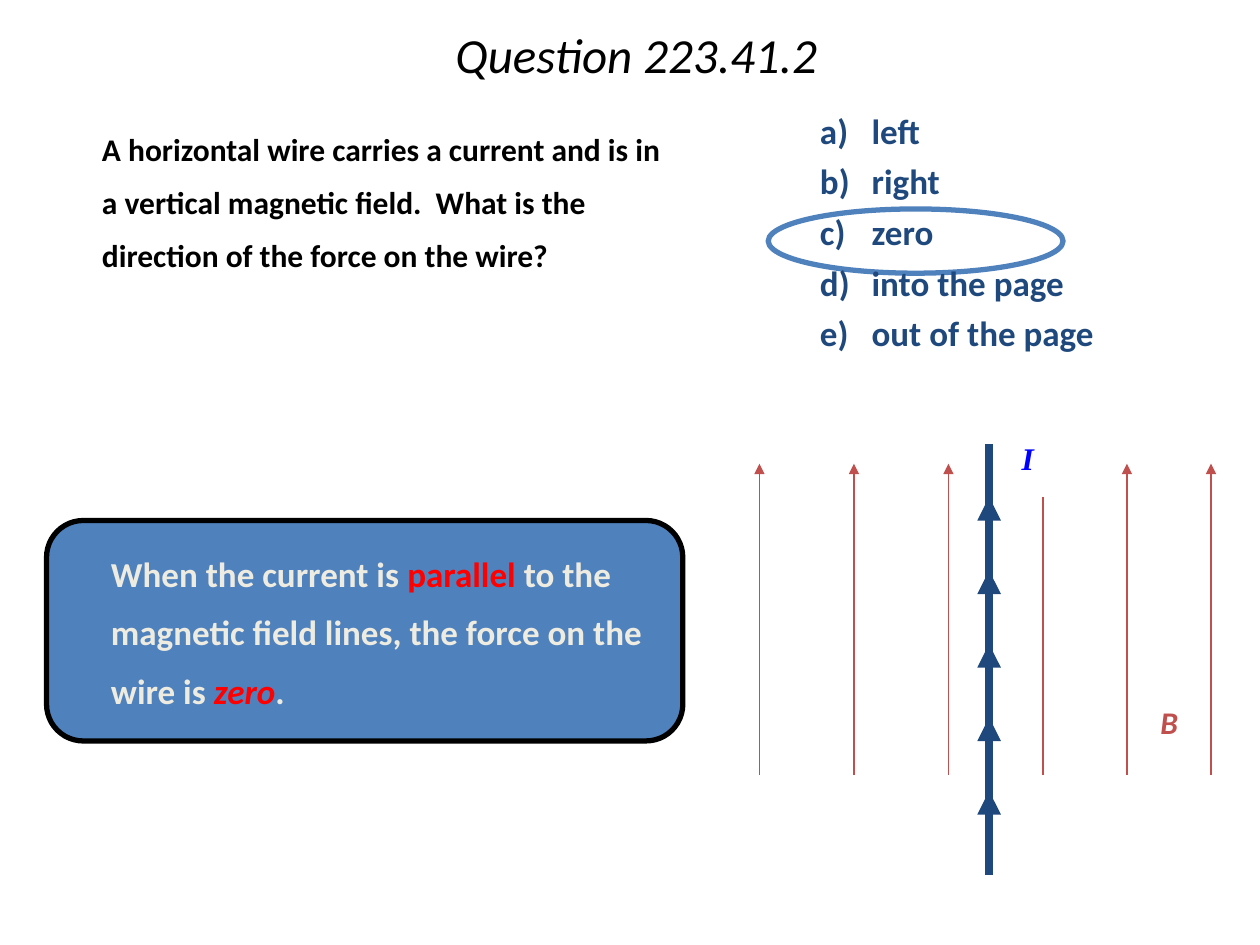
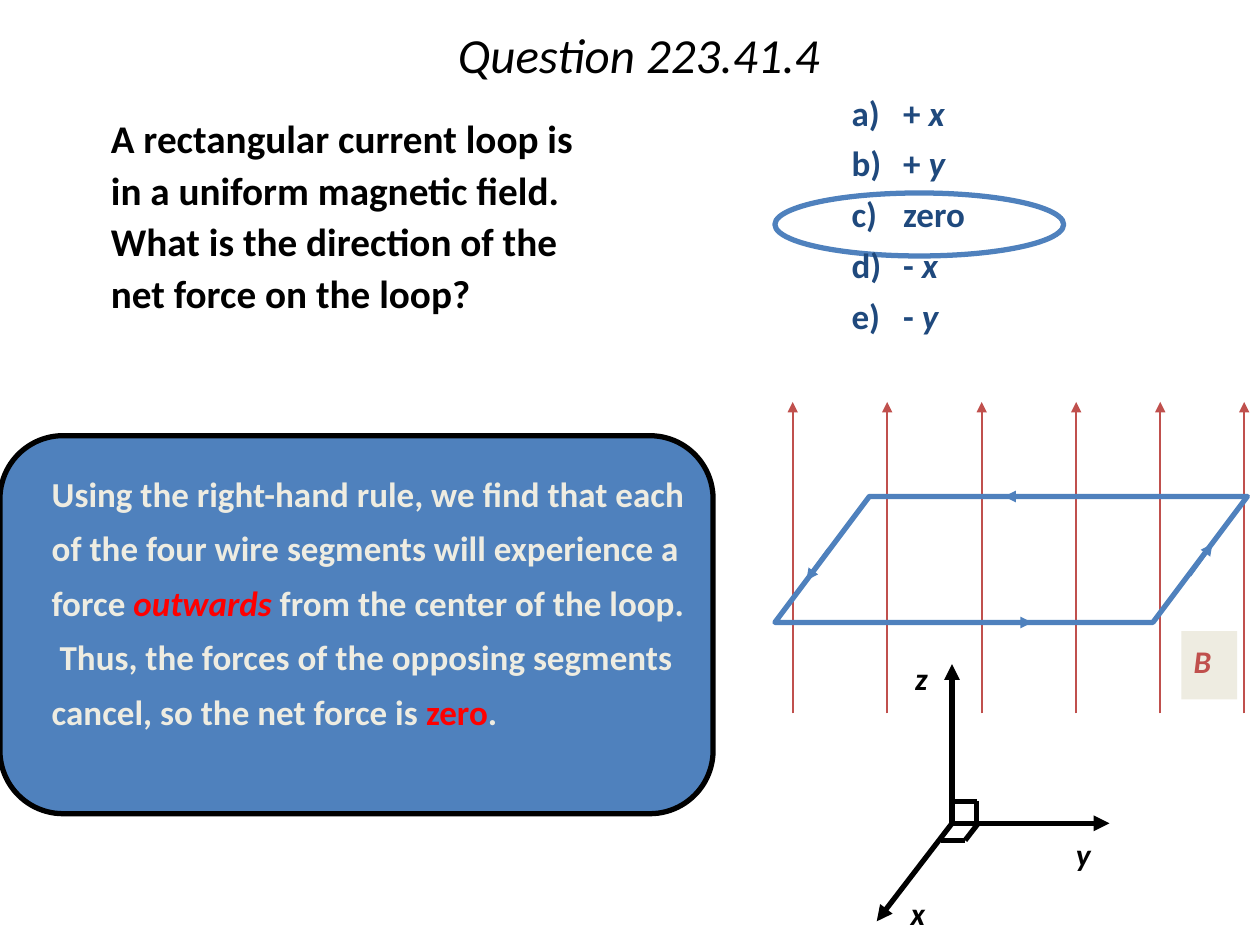
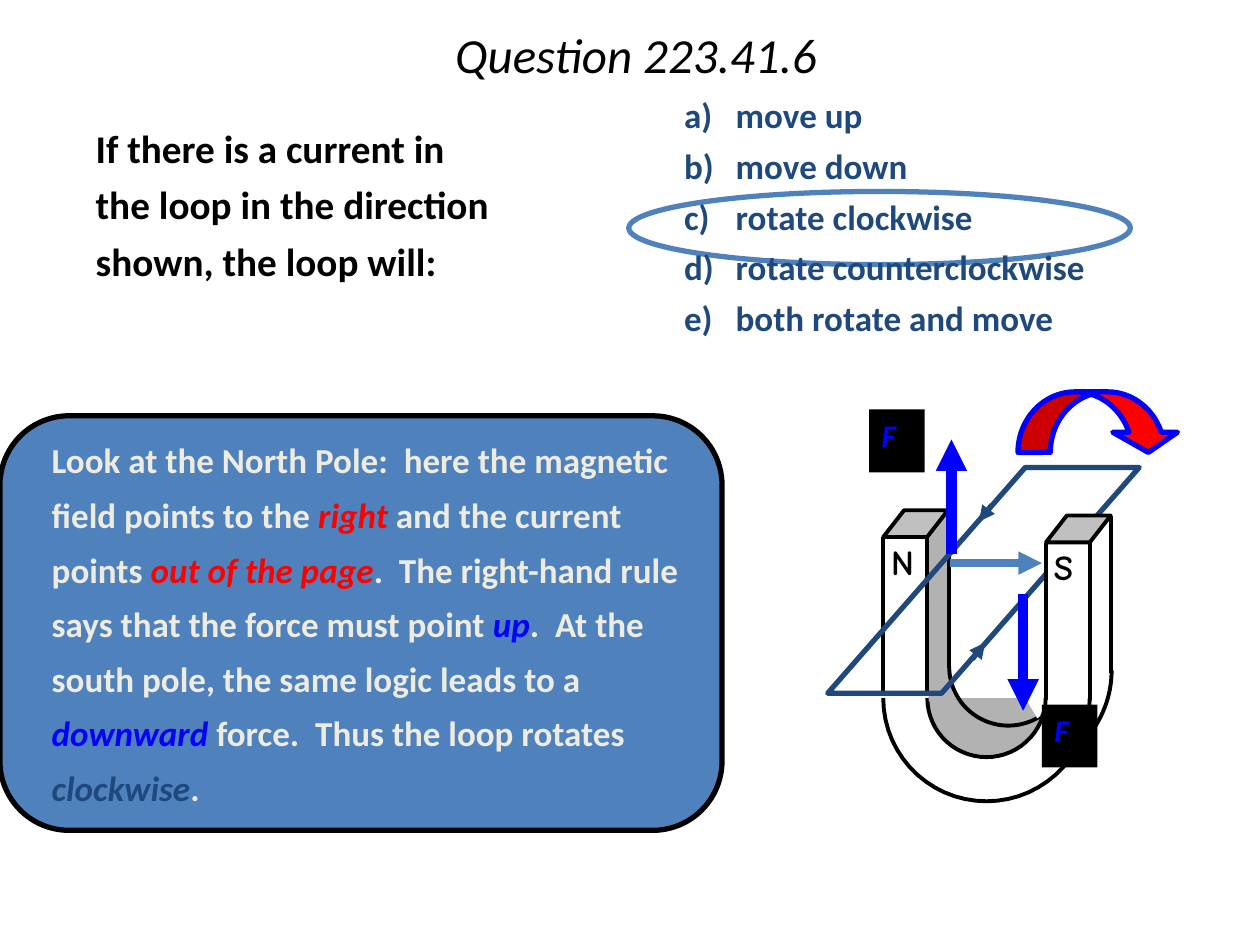
from itertools import pairwise
from math import cos, radians, sin

from lxml import etree
from pptx import Presentation
from pptx.dml.color import RGBColor
from pptx.enum import shapes, text
from pptx.oxml import ns
from pptx.util import Pt

BLACK, WHITE, CREAM = "000000", "FFFFFF", "EEECE1"
BLUE, NAVY, BRICK = "4F81BD", "1F497D", "C0504D"
RED, BRIGHT, SILVER, GREY = "FF0000", "0000FF", "C0C0C0", "B2B2B2"
SHAPE = shapes.MSO_SHAPE
RED_BOLD = {"color": RED}
RED_ITALIC = {"color": RED, "italic": True}
BLUE_ITALIC = {"color": BRIGHT, "italic": True}
ITALIC = {"italic": True}


def rgb(color):
    """Turn a hex string into a colour."""
    return RGBColor.from_string(color)


def paint(sp, fill=None, line=None, width=1):
    """Set the fill and outline of a shape and drop its shadow."""
    sp.shadow.inherit = False
    if fill:
        sp.fill.solid()
        sp.fill.fore_color.rgb = rgb(fill)
    else:
        sp.fill.background()
    if line:
        sp.line.color.rgb = rgb(line)
        sp.line.width = Pt(width)
    else:
        sp.line.fill.background()
    return sp


def draw(s, kind, origin, box, adj=(), **look):
    """Add a preset shape whose box is relative to an origin."""
    x, y, w, h = box
    sp = s.shapes.add_shape(kind, Pt(origin[0] + x), Pt(origin[1] + y), Pt(w), Pt(h))
    for i, value in enumerate(adj):
        sp.adjustments[i] = value
    return paint(sp, **look)


def outline(s, origin, points, close=True, **look):
    """Add a freeform through points relative to an origin."""
    pts = [(Pt(origin[0] + x), Pt(origin[1] + y)) for x, y in points]
    builder = s.shapes.build_freeform(*pts[0], scale=1.0)
    builder.add_line_segments(pts[1:], close=close)
    return paint(builder.convert_to_shape(), **look)


def arc(s, origin, center, radius, start, end, **look):
    """Add an open circular arc between two angles in degrees."""
    steps = 30
    angles = [radians(start + (end - start) * i / steps) for i in range(steps + 1)]
    points = [(center[0] + radius * cos(a), center[1] + radius * sin(a)) for a in angles]
    return outline(s, origin, points, close=False, **look)


def line(s, origin, start, end, color, width, arrow=True):
    """Add a straight line, with an arrowhead at its end if wanted."""
    x, y = origin
    c = s.shapes.add_connector(shapes.MSO_CONNECTOR.STRAIGHT, Pt(x + start[0]), Pt(y + start[1]),
                               Pt(x + end[0]), Pt(y + end[1]))
    c.line.color.rgb = rgb(color)
    c.line.width = Pt(width)
    if arrow:
        etree.SubElement(c.line._get_or_add_ln(), ns.qn("a:tailEnd"), type="triangle")
    etree.SubElement(c._element.spPr, ns.qn("a:effectLst"))
    return c


def write(tf, paras, align=None, spacing=1.0, before=0, margin=0, indent=0, **fmt):
    """Fill a text frame; each paragraph is a list of strings or (string, format) runs."""
    for i, runs in enumerate(paras):
        p = tf.paragraphs[0] if i == 0 else tf.add_paragraph()
        pPr = p._p.get_or_add_pPr()
        pPr.set("marL", str(Pt(margin)))
        pPr.set("indent", str(Pt(indent)))
        etree.SubElement(pPr, ns.qn("a:buNone"))
        p.alignment = align
        p.line_spacing = spacing
        p.space_before = Pt(before if i else 0)
        for run in runs:
            words, own = (run, {}) if isinstance(run, str) else run
            look = {"size": 18, "color": BLACK, "font": "Calibri", **fmt, **own}
            r = p.add_run()
            r.text = words
            r.font.name = look["font"]
            r.font.size = Pt(look["size"])
            r.font.bold = look.get("bold", False)
            r.font.italic = look.get("italic", False)
            r.font.color.rgb = rgb(look["color"])


def place(sp, box):
    """Move a shape to a box."""
    sp.left, sp.top, sp.width, sp.height = (Pt(v) for v in box)


def textbox(s, origin, box, paras, fill=None, wrap=True, anchor=text.MSO_ANCHOR.TOP, **fmt):
    """Add a text box relative to an origin."""
    sp = s.shapes.add_textbox(0, 0, 0, 0)
    place(sp, (origin[0] + box[0], origin[1] + box[1], *box[2:]))
    if fill:
        sp.fill.solid()
        sp.fill.fore_color.rgb = rgb(fill)
    sp.text_frame.word_wrap = wrap
    sp.text_frame.vertical_anchor = anchor
    write(sp.text_frame, paras, **fmt)


def label(s, origin, box, letter, color, **look):
    """Add a one-letter bold label."""
    textbox(s, origin, box, [[letter]], **{"wrap": False, "italic": True, **look},
            color=color, bold=True)


def question(prs, title, title_box, words, body_box, size, spacing):
    """Add a slide with its title and question text."""
    s = prs.slides.add_slide(prs.slide_layouts[1])
    place(s.shapes.title, title_box)
    tf = s.shapes.title.text_frame
    tf.vertical_anchor = text.MSO_ANCHOR.MIDDLE
    write(tf, [[title]], align=text.PP_ALIGN.CENTER, spacing=0.9, size=28, italic=True)
    body = s.placeholders[1]
    place(body, body_box)
    body.text_frame.auto_size = text.MSO_AUTO_SIZE.NONE
    write(body.text_frame, [[words]], spacing=spacing, margin=31.7, size=size, bold=True)
    return s


def options(s, box, choices, ring):
    """List the lettered choices and ring the right one."""
    draw(s, SHAPE.OVAL, box, ring, line=BLUE, width=3)
    paras = [[f"{letter})\t", *runs] for letter, runs in zip("abcde", choices)]
    textbox(s, box, (0, 0, *box[2:]), paras, spacing=0.8, before=9.75,
            margin=29.5, indent=-29.5, size=20, color=NAVY, bold=True)


def panel(s, box, runs, shift, spacing):
    """Add the rounded panel that explains the answer."""
    w, h = box[2:]
    draw(s, SHAPE.ROUNDED_RECTANGLE, box, (0, 0, w, h), adj=[0.167], fill=BLUE, line=BLACK, width=3)
    textbox(s, box, (*shift, w - 6, h - 2 * shift[1]), [runs], spacing=spacing,
            margin=22.5, size=20, color=CREAM, bold=True)


def field(s, origin, fill):
    """Draw the upward magnetic field lines and their label."""
    for x in (0, 54, 108, 162, 210, 258):
        line(s, origin, (x, 178), (x, 0), BRICK, 1)
    label(s, origin, (222, 131, 32, 39), "B", BRICK, fill=fill, spacing=1.11)


def wire(s, origin):
    """Draw the vertical wire with its current arrows."""
    for i in range(5):
        top = 30.5 + 42 * i
        line(s, origin, (0, top + 48), (0, top), NAVY, 4.5)
    line(s, origin, (0, 48), (0, 0), NAVY, 4.5, arrow=False)
    label(s, origin, (11.5, -8.5, 24, 39), "I", BRIGHT, fill=WHITE, font="Times New Roman", spacing=1.11)


def current_loop(s, origin):
    """Draw the slanted loop with an arrow on each side."""
    draw(s, SHAPE.FLOWCHART_DATA, origin, (0, 0, 270, 72), line=BLUE, width=3)
    for start, end in (((31, 30), (18, 48)), ((158.5, 0), (131, 0)),
                       ((120, 72), (147, 72)), ((237, 45), (250, 27))):
        line(s, origin, start, end, BLUE, 2.25)


def axes(s, origin):
    """Draw the three axes, their right-angle marks and labels."""
    for name, tip, spot in (("x", (-43, 56), (-33.5, 30.6)), ("y", (90, 0), (61, -3.5)),
                            ("z", (0, -91), (-31.5, -104))):
        line(s, origin, (0, 0), tip, BLACK, 3)
        label(s, origin, (*spot, 28, 39), name, BLACK, anchor=text.MSO_ANCHOR.MIDDLE,
              align=text.PP_ALIGN.CENTER, spacing=1.11)
    for mark in (((-6.5, 9.7), (7.5, 9.7), (15, 0)), ((0, -12.5), (14, -12.5), (14, 0))):
        for start, end in pairwise(mark):
            line(s, origin, start, end, BLACK, 3, arrow=False)


def pole(s, origin, letter):
    """Draw one pole of the magnet with its letter."""
    draw(s, SHAPE.RECTANGLE, origin, (1, 15.8, 23.5, 26.6), fill=WHITE)
    for x, top in ((0, 15.5), (25.2, 15.5), (37.4, 0)):
        line(s, origin, (x, top), (x, top + 90), BLACK, 2.25, arrow=False)
    draw(s, SHAPE.PARALLELOGRAM, origin, (0, 0, 37, 15.3), adj=[0.779],
         fill=SILVER, line=BLACK, width=2.25)
    label(s, origin, (-2.5, 13.5, 30, 31), letter, BLACK, font="Comic Neue", size=20, italic=False)


def magnet(s, origin):
    """Draw the horseshoe magnet, the loop in it and the forces."""
    edge = {"line": BLACK, "width": 2.25}
    arc(s, origin, (59, 107.3), 33.8, 180, 0, fill=GREY, **edge)
    arc(s, origin, (59, 107.3), 59, 180, 0, **edge)
    arc(s, origin, (71.5, 91.5), 59, 48, 0, **edge)
    outline(s, origin, [(26, 15), (26, 109), (42.5, 109), (39.6, 104), (39, 99),
                        (37.5, 93.5), (36.7, 89), (36.7, 2)], fill=GREY)
    pole(s, origin, "N")
    arc(s, origin, (71.5, 89.3), 33.8, 180, 57, **edge)
    outline(s, origin, [(91.5, 105), (91.5, 112), (89.3, 118), (88, 119), (80.6, 106)], fill=WHITE)
    draw(s, SHAPE.PARALLELOGRAM, origin, (-31.7, -24.5, 178, 129), adj=[0.875], line=NAVY, width=3)
    for start, end in (((62, -3), (54.7, 6.5)), ((51, 85), (58.3, 75.6))):
        line(s, origin, start, end, NAVY, 3)
    pole(s, (origin[0] + 93, origin[1] + 3), "S")
    line(s, origin, (80, 48), (80, 114.5), BRIGHT, 6)
    line(s, origin, (39, 25.2), (39, -40.5), BRIGHT, 6)
    line(s, origin, (38, 30.2), (90.7, 30.2), BLUE, 4.5)
    for spot in ((-8, -57.6), (90.7, 111)):
        label(s, origin, (*spot, 31.7, 36), "F", BRIGHT, fill=BLACK)
    draw(s, SHAPE.CURVED_DOWN_ARROW, origin, (77, -67.7, 93, 34.6), adj=[0.534, 1.068, 0.333],
         fill=RED, line=BRIGHT, width=3)


def wire_slide(prs):
    """Build the question on a wire along the field."""
    s = question(prs, "Question 223.41.2", (41, 0, 645, 66),
                 "A horizontal wire carries a current and is in a vertical magnetic field.  "
                 "What is the direction of the force on the wire?", (19.4, 62, 373, 140), 18, 1.4)
    panel(s, (26.6, 297.4, 363.6, 126),
          ["When the current is ", ("parallel", RED_BOLD),
           " to the magnetic field lines, the force on the wire is ", ("zero", RED_ITALIC), "."],
          (7.2, 5), 1.4)
    field(s, (434, 265), WHITE)
    wire(s, (565.2, 253.5))
    options(s, (461.5, 63.4, 235.4, 153.4),
            [["left"], ["right"], ["zero"], ["into the page"], ["out of the page"]],
            (-22.5, 56, 168.5, 36.7))


def loop_slide(prs):
    """Build the question on a loop in a uniform field."""
    s = question(prs, "Question 223.41.4", (44, 0, 642, 66),
                 "A rectangular current loop is in a uniform magnetic field.  "
                 "What is the direction of the net force on the loop?",
                 (24.5, 59, 330.5, 142), 22.4, 1.1)
    panel(s, (0, 249, 407.5, 216),
          ["Using the right-hand rule, we find that each of the four wire segments "
           "will experience a force ", ("outwards", RED_ITALIC),
           " from the center of the loop.  Thus, the forces of the opposing segments cancel, "
           "so the net force is ", ("zero", RED_BOLD), "."], (0, 10), 1.3)
    field(s, (453, 229.7), CREAM)
    current_loop(s, (442.8, 283.7))
    axes(s, (544, 470.5))
    options(s, (479.5, 53.3, 182, 153.4),
            [["+ ", ("x", ITALIC)], ["+ ", ("y", ITALIC)], ["zero"],
             ["- ", ("x", ITALIC)], ["- ", ("y", ITALIC)]], (-36.7, 57, 165, 36))


def magnet_slide(prs):
    """Build the question on a loop in a magnet."""
    s = question(prs, "Question 223.41.6", (37.4, 0, 652, 66),
                 "If there is a current in the loop in the direction shown, the loop will:",
                 (15.8, 62, 282, 141), 22.4, 1.2)
    panel(s, (0, 237.6, 412.6, 236.9),
          ["Look at the North Pole:  here the magnetic field points to the ",
           ("right ", RED_ITALIC), "and the current points ", ("out of the page", RED_ITALIC),
           ".  The right-hand rule says that the force must point ", ("up", BLUE_ITALIC),
           ".  At the south pole, the same logic leads to a ", ("downward", BLUE_ITALIC),
           " force.  Thus the loop rotates ", ("clockwise", {"color": NAVY, "italic": True}), "."],
          (0, 2.4), 1.3)
    magnet(s, (504.7, 291.6))
    options(s, (383.8, 54.7, 336, 153.4),
            [["move up"], ["move down"], ["rotate clockwise"],
             ["rotate counterclockwise"], ["both rotate and move"]], (-24.5, 54.7, 286.6, 41.8))


def main():
    """Build the three question slides."""
    prs = Presentation()
    prs.slide_width, prs.slide_height = Pt(720), Pt(540)
    for build in (wire_slide, loop_slide, magnet_slide):
        build(prs)
    prs.save("out.pptx")


if __name__ == "__main__":
    main()
